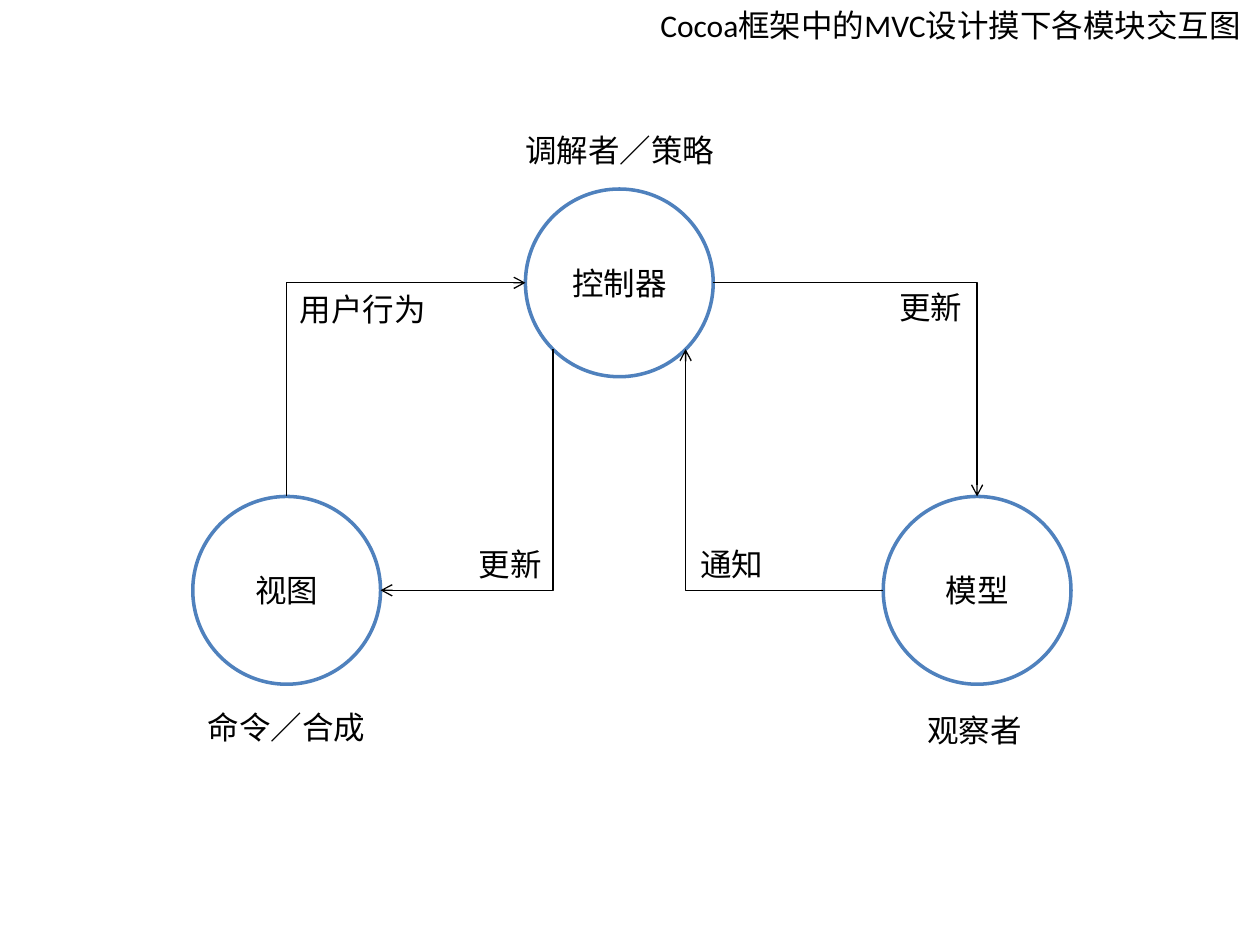
from dataclasses import dataclass
from math import cos, radians, sin

from lxml.etree import SubElement
from pptx import Presentation
from pptx.dml.color import RGBColor as RGB
from pptx.enum.shapes import MSO_CONNECTOR as LINK, MSO_SHAPE as SHAPE
from pptx.enum.text import MSO_ANCHOR as ANCHOR, MSO_AUTO_SIZE as FIT, PP_ALIGN as ALIGN
from pptx.oxml.ns import qn
from pptx.util import Inches, Pt


@dataclass(frozen=True)
class Theme:
    font: str = "Calibri"
    size: float = 18
    ink: RGB = RGB(0, 0, 0)
    paper: RGB = RGB(255, 255, 255)
    ring: RGB = RGB(0x4F, 0x81, 0xBD)
    edge: float = 2
    wire: float = 0.75


@dataclass
class Node:
    shape: object
    x: float
    y: float

    def site(self, index):
        angle = radians(90 + 45 * index)
        return self.x + SIZE / 2 * cos(angle), self.y - SIZE / 2 * sin(angle)


class Board:
    def __init__(self, slide, theme):
        self.slide = slide
        self.theme = theme

    def add_text(self, frame, text, align=ALIGN.LEFT):
        par = frame.paragraphs[0]
        par.alignment = align
        run = par.add_run()
        run.text = text
        run.font.name = self.theme.font
        run.font.size = Pt(self.theme.size)
        run.font.color.rgb = self.theme.ink

    def title(self, text, x, y, w, h):
        box = self.slide.shapes.title
        box.left, box.top, box.width, box.height = map(Inches, (x, y, w, h))
        frame = box.text_frame
        frame.word_wrap = True
        frame.auto_size = FIT.NONE
        frame.vertical_anchor = ANCHOR.TOP
        self.add_text(frame, text)

    def label(self, text, x, y, w):
        box = self.slide.shapes.add_textbox(*map(Inches, (x, y, w, 0.4)))
        frame = box.text_frame
        frame.word_wrap = False
        frame.auto_size = FIT.SHAPE_TO_FIT_TEXT
        self.add_text(frame, text)

    def node(self, text, x, y):
        place = map(Inches, (x, y, SIZE, SIZE))
        shape = self.slide.shapes.add_shape(SHAPE.OVAL, *place)
        shape.shadow.inherit = False
        shape.fill.solid()
        shape.fill.fore_color.rgb = self.theme.paper
        shape.line.color.rgb = self.theme.ring
        shape.line.width = Pt(self.theme.edge)
        shape.text_frame.vertical_anchor = ANCHOR.MIDDLE
        self.add_text(shape.text_frame, text, ALIGN.CENTER)
        return Node(shape, x + SIZE / 2, y + SIZE / 2)

    def arrow(self, start, out, end, into, upright):
        (ax, ay), (bx, by) = start.site(out), end.site(into)
        mx, my = (ax + bx) / 2, (ay + by) / 2
        w, h = (by - ay, ax - bx) if upright else (bx - ax, by - ay)
        ends = map(Inches, (mx - w / 2, my - h / 2, mx + w / 2, my + h / 2))
        wire = self.slide.shapes.add_connector(LINK.ELBOW, *ends)
        wire.line.color.rgb = self.theme.ink
        wire.line.width = Pt(self.theme.wire)
        props = wire._element.spPr
        props.find(qn("a:prstGeom")).set("prst", "bentConnector2")
        if upright:
            props.find(qn("a:xfrm")).set("rot", "5400000")
        SubElement(props.find(qn("a:ln")), qn("a:tailEnd"), type="arrow")
        SubElement(props, qn("a:effectLst"))
        glue = wire._element.find(".//" + qn("p:cNvCxnSpPr"))
        for tag, node, site in (("a:stCxn", start, out), ("a:endCxn", end, into)):
            SubElement(glue, qn(tag), id=str(node.shape.shape_id), idx=str(site))


SIZE = 1.49
TOP, LEFT, LOW_L, LOW_R, RIGHT = 0, 2, 3, 5, 6

deck = Presentation()
deck.slide_width, deck.slide_height = Inches(10), Inches(7.5)
board = Board(deck.slides.add_slide(deck.slide_layouts[5]), Theme())

board.title("Cocoa框架中的MVC设计摸下各模块交互图", 5.14, 0, 4.86, 0.4)

control = board.node("控制器", 4.17, 1.5)
view = board.node("视图", 1.53, 3.94)
model = board.node("模型", 7.01, 3.94)

for link in (
    (view, TOP, control, LEFT, True),
    (control, LOW_L, view, RIGHT, True),
    (control, RIGHT, model, TOP, False),
    (model, LEFT, control, LOW_R, False),
):
    board.arrow(*link)

for label in (
    ("用户行为", 2.28, 2.25, 1.21),
    ("更新", 7.04, 2.24, 0.71),
    ("更新", 3.7, 4.28, 0.71),
    ("通知", 5.46, 4.28, 0.71),
    ("命令／合成", 1.55, 5.57, 1.46),
    ("观察者", 7.26, 5.59, 0.96),
    ("调解者／策略", 4.07, 0.99, 1.72),
):
    board.label(*label)

deck.save("out.pptx")
